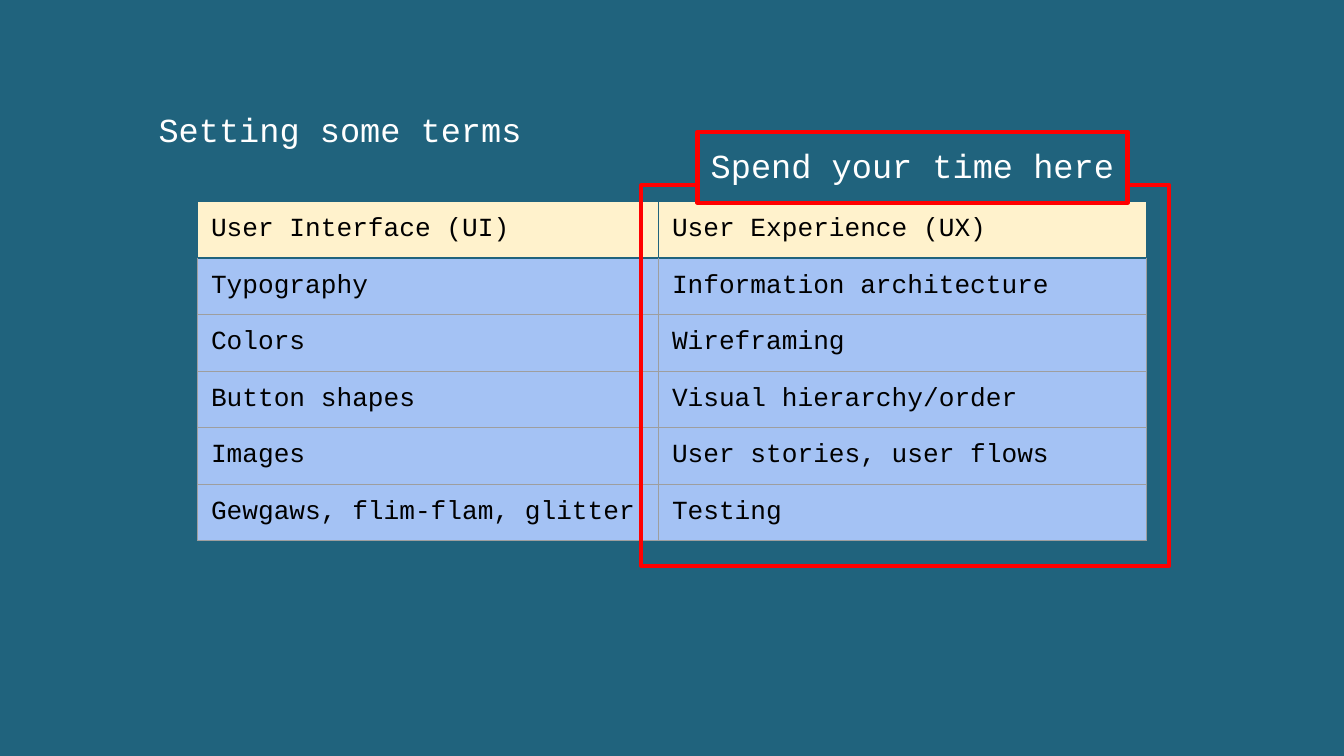
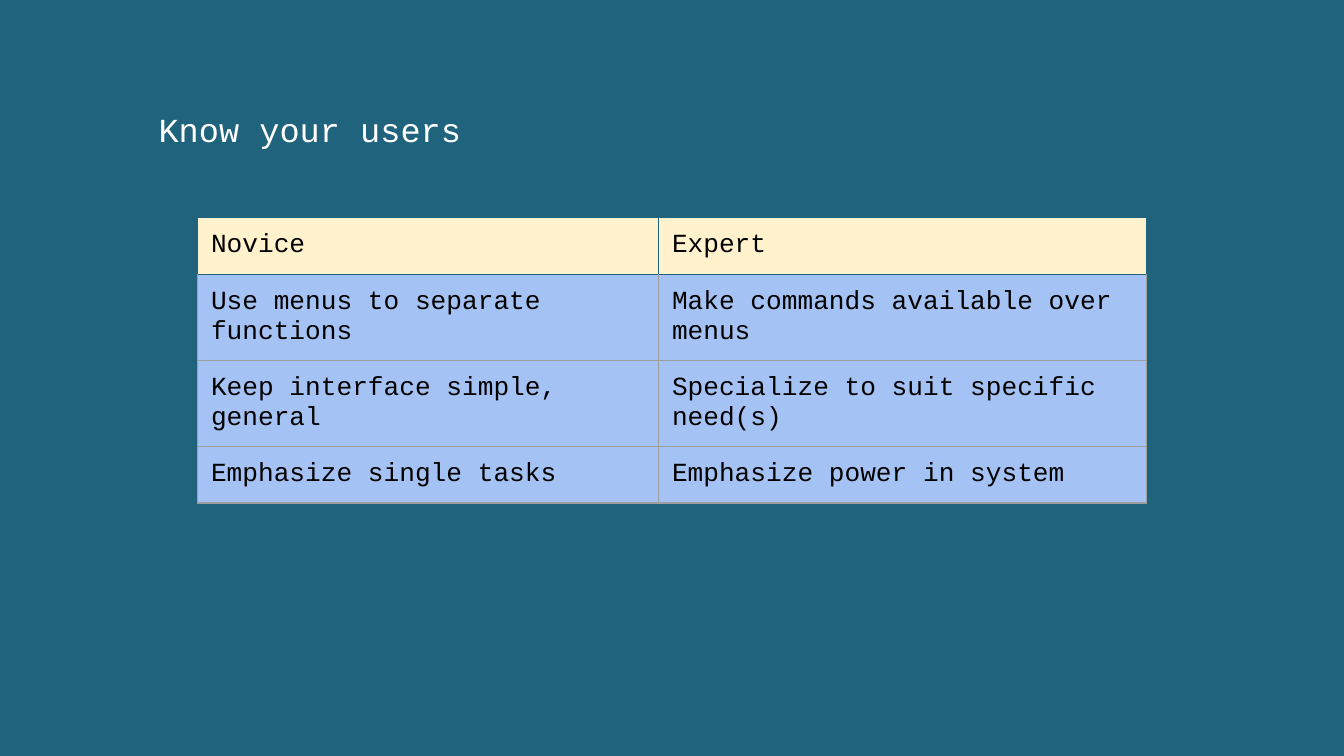
from lxml.etree import SubElement
from pptx import Presentation
from pptx.dml.color import RGBColor
from pptx.enum.shapes import MSO_SHAPE as Shape
from pptx.enum.text import MSO_ANCHOR as Anchor, PP_ALIGN as Align
from pptx.oxml.ns import qn
from pptx.util import Inches, Pt

# Shared style
FONT = "Courier New"
TEAL, WHITE, BLACK, RED = "20637D", "FFFFFF", "000000", "FF0000"
CREAM, BLUE, GREY = "FFF2CC", "A4C2F4", "9E9E9E"
TITLE_BOX = (1.08, 0.71, 7.83, 0.53)
TABLE_LEFT = 1.47
COLUMN_WIDTHS = (3.43, 3.63)
ROW_HEIGHT = 0.42
INSET = 0.1

TERMS = [
    ("User Interface (UI)", "User Experience (UX)"),
    ("Typography", "Information architecture"),
    ("Colors", "Wireframing"),
    ("Button shapes", "Visual hierarchy/order"),
    ("Images", "User stories, user flows"),
    ("Gewgaws, flim-flam, glitter", "Testing"),
]
USERS = [
    ("Novice", "Expert"),
    ("Use menus to separate functions", "Make commands available over menus"),
    ("Keep interface simple, general", "Specialize to suit specific need(s)"),
    ("Emphasize single tasks", "Emphasize power in system"),
]


def color(value):
    return RGBColor.from_string(value)


def paint(fill, value):
    fill.solid()
    fill.fore_color.rgb = color(value)


def set_margins(target):
    target.margin_left = target.margin_right = Inches(INSET)
    target.margin_top = target.margin_bottom = Inches(INSET)


def write(text_frame, text, size, value):
    text_frame.text = text
    paragraph = text_frame.paragraphs[0]
    paragraph.alignment = Align.LEFT
    font = paragraph.runs[0].font
    font.name, font.size, font.color.rgb = FONT, Pt(size), color(value)
    font.bold = False


def write_heading(shape, text):
    """Large white text, used by titles and the callout label."""
    text_frame = shape.text_frame
    text_frame.word_wrap = True
    text_frame.vertical_anchor = Anchor.TOP
    set_margins(text_frame)
    write(text_frame, text, 18, WHITE)


def add_titled_slide(presentation, title_text):
    slide = presentation.slides.add_slide(presentation.slide_layouts.get_by_name("Title Only"))
    paint(slide.background.fill, TEAL)
    title = slide.shapes.title
    title.left, title.top, title.width, title.height = map(Inches, TITLE_BOX)
    write_heading(title, title_text)
    return slide


def set_borders(cell, top, other):
    properties = cell._tc.get_or_add_tcPr()
    for side, value in (("L", other), ("R", other), ("T", top), ("B", other)):
        line = SubElement(properties, qn(f"a:ln{side}"), w=str(Pt(0.75)))
        SubElement(SubElement(line, qn("a:solidFill")), qn("a:srgbClr"), val=value)


def add_comparison(slide, top, rows):
    """Two-column table with a cream header row."""
    frame = slide.shapes.add_table(
        len(rows), len(COLUMN_WIDTHS), Inches(TABLE_LEFT), Inches(top),
        Inches(sum(COLUMN_WIDTHS)), Inches(ROW_HEIGHT * len(rows)))
    table = frame.table
    table.horz_banding = False
    for column, width in zip(table.columns, COLUMN_WIDTHS):
        column.width = Inches(width)
    for row_index, texts in enumerate(rows):
        table.rows[row_index].height = Inches(ROW_HEIGHT)
        is_header = row_index == 0
        for column_index, text in enumerate(texts):
            cell = table.cell(row_index, column_index)
            set_margins(cell)
            set_borders(cell, TEAL if row_index < 2 else GREY, TEAL if is_header else GREY)
            paint(cell.fill, CREAM if is_header else BLUE)
            write(cell.text_frame, text, 14, BLACK)


def add_red_box(slide, left, top, width, height):
    box = slide.shapes.add_shape(Shape.RECTANGLE, *map(Inches, (left, top, width, height)))
    box.shadow.inherit = False
    box.fill.background()
    box.line.color.rgb = color(RED)
    box.line.width = Pt(2.25)
    return box


def add_callout(slide, left, top, width, height, text):
    """Red frame with a label sitting across its top edge."""
    add_red_box(slide, left, top, width, height)
    label = add_red_box(slide, left + 0.42, top - 0.4, 3.2, 0.53)
    paint(label.fill, TEAL)
    write_heading(label, text)


def main():
    presentation = Presentation()
    presentation.slide_width = Inches(10)
    presentation.slide_height = Inches(10) * 9 // 16

    # Terms
    slide = add_titled_slide(presentation, "Setting some terms")
    add_comparison(slide, 1.5, TERMS)
    add_callout(slide, 4.77, 1.38, 3.93, 2.83, "Spend your time here")

    # Users
    slide = add_titled_slide(presentation, "Know your users")
    add_comparison(slide, 1.62, USERS)

    presentation.save("out.pptx")


if __name__ == "__main__":
    main()
